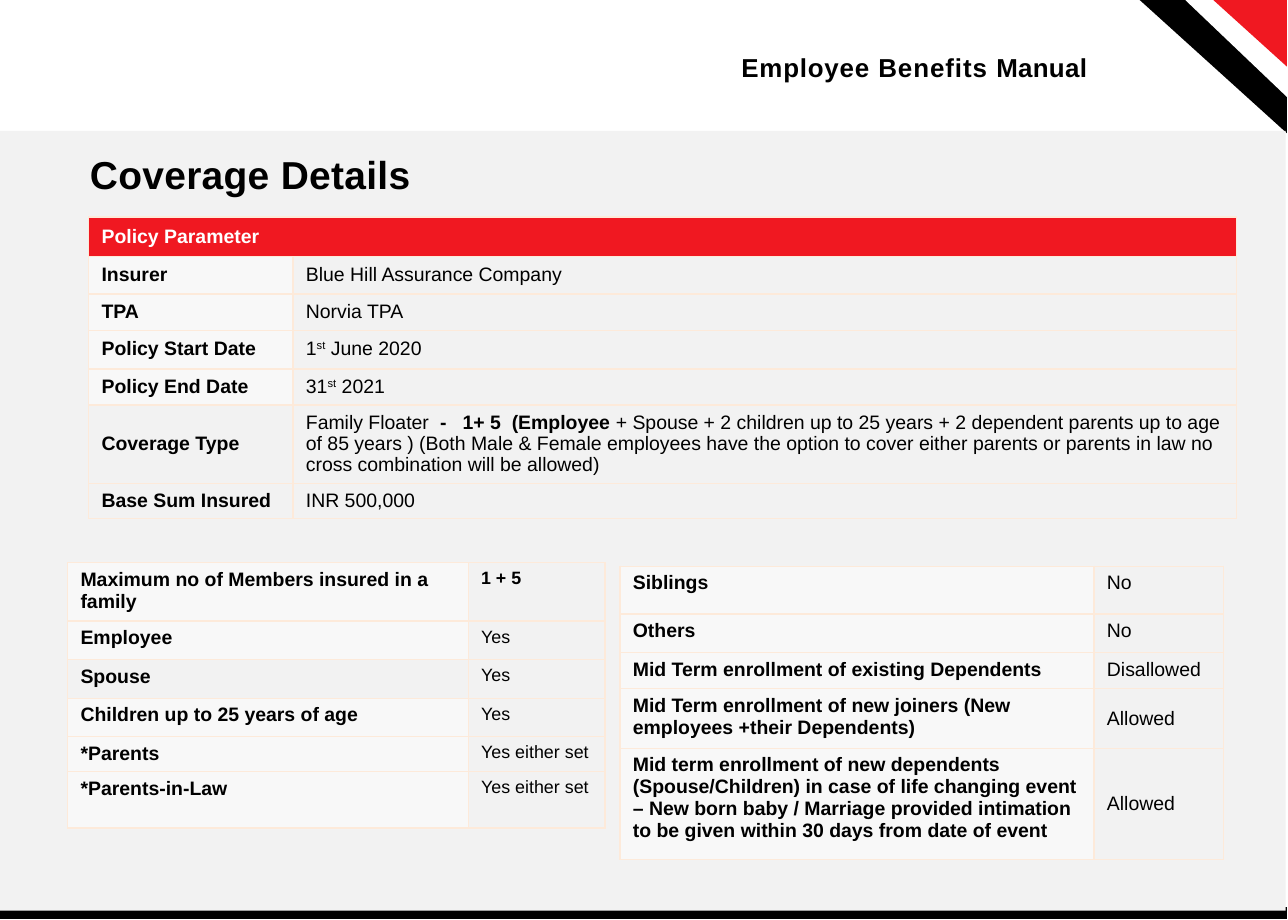
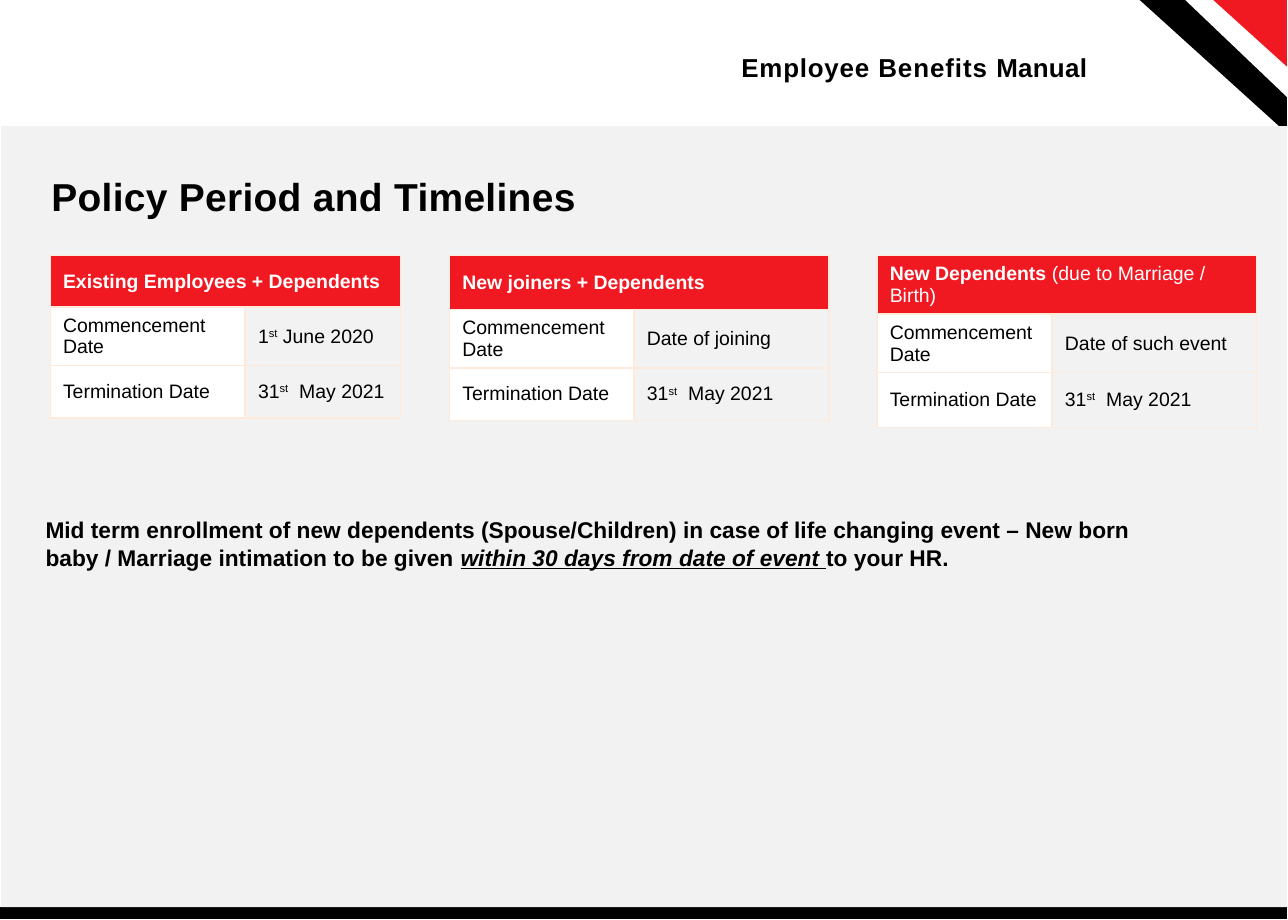
from pptx import Presentation
from pptx.dml.color import RGBColor
from pptx.enum.shapes import MSO_SHAPE
from pptx.enum.text import MSO_ANCHOR
from pptx.oxml.ns import qn
from pptx.util import Pt
from lxml.etree import SubElement

PX = 9144  # 100 px to the inch
RECTANGLE = MSO_SHAPE.RECTANGLE
TOP, MIDDLE = MSO_ANCHOR.TOP, MSO_ANCHOR.MIDDLE

BLACK = RGBColor(0x00, 0x00, 0x00)
WHITE = RGBColor(0xFF, 0xFF, 0xFF)
RED = RGBColor(0xF0, 0x18, 0x21)
GREY = RGBColor(0xF2, 0xF2, 0xF2)
BORDER = "FDEADA"

BODY = {"name": "Arial", "size": Pt(12), "bold": False, "color": BLACK}
BOLD = BODY | {"bold": True}
SMALL = BODY | {"size": Pt(11)}
TABLE_HEADER = BOLD | {"color": WHITE}
DECK_NAME = BOLD | {"size": Pt(16)}
TITLE = BOLD | {"size": Pt(24), "spc": "20"}
NOTE = BOLD | {"size": Pt(14)}
SUPERSCRIPT = {"baseline": "30000"}

CORNER_BANDS = [
    (BLACK, [(1077, 0), (976, 0), (1102, 114), (1102, 24)]),
    (WHITE, [(1102, 0), (1015, 0), (1102, 83)]),
    (RED, [(1102, 0), (1039, 0), (1102, 57)]),
]
DECK_NAME_RUNS = [("Employee ", {"spc": "50"}), ("Benefits ", {"spc": "60"}),
                  ("Manual", {"spc": "20"})]


def write_runs(para, runs, base):
    """Write a string, or (text, format changes) pairs, over a base format."""
    if isinstance(runs, str):
        runs = [(runs, {})]
    for text, changes in runs:
        span = para.add_run()
        span.text = text
        for key, value in (base | changes).items():
            if key == "color":
                span.font.color.rgb = value
            elif key in ("spc", "baseline"):
                span._r.get_or_add_rPr().set(key, value)
            else:
                setattr(span.font, key, value)


def paint(shape, color):
    shape.fill.solid()
    shape.fill.fore_color.rgb = color
    shape.line.fill.background()
    shape.shadow.inherit = False


def_policy = {
    "at": (76, 186), "columns": (175, 808), "heights": (34, 32, 31, 33, 31, 49, 30),
    "header": "Policy Parameter", "label": BOLD, "value": BODY,
    "anchor": MIDDLE, "opacity": "50000", "spacing": 0.95,
    "plain_labels": ("Coverage Type", "Base Sum Insured"),
    "rows": [
        ("Insurer", "Blue Hill Assurance Company"),
        ("TPA", "Norvia TPA"),
        ("Policy Start Date", [("1", {}), ("st", SUPERSCRIPT), (" June 2020", {})]),
        ("Policy End Date", [("31", {}), ("st", SUPERSCRIPT), (" 2021", {})]),
        ("Coverage Type", [
            ("Family Floater  ", {}),
            ("-   1+ 5  (Employee", {"bold": True}),
            (" + Spouse + 2 children up to 25 years + 2 dependent parents up to age "
             "of 85 years ) (Both Male & Female employees have the option to cover "
             "either parents or parents in law no cross combination will be allowed)", {}),
        ]),
        ("Base Sum Insured", "INR 500,000"),
    ],
}
members = {
    "at": (58, 482), "columns": (343, 117), "heights": (33, 33, 33, 33, 27, 48),
    "label": BOLD, "value": SMALL, "anchor": TOP, "opacity": "50000",
    "plain_labels": ("Spouse",),
    "rows": [
        ("Maximum no of Members insured in a family", [("1 + 5", {"bold": True})]),
        ("Employee", "Yes"),
        ("Spouse", "Yes"),
        ("Children up to 25 years of age", "Yes"),
        ("*Parents", "Yes either set"),
        ("*Parents-in-Law", "Yes either set"),
    ],
}
enrollment = {
    "at": (531, 485), "columns": (406, 111), "heights": (41, 33, 31, 51, 95),
    "label": BOLD, "value": BODY, "anchor": TOP, "opacity": "50000",
    "rows": [
        ("Siblings", "No"),
        ("Others", "No"),
        ("Mid Term enrollment of existing Dependents", "Disallowed"),
        ("Mid Term enrollment of new joiners (New employees +their Dependents)", "Allowed"),
        ("Mid term enrollment of new dependents (Spouse/Children) in case of life "
         "changing event – New born baby / Marriage provided intimation to be given "
         "within 30 days from date of event", "Allowed"),
    ],
}

# Three timeline tables differ only in place, header and start date
TERMINATION = [("31", {}), ("st", SUPERSCRIPT), ("  May 2021", {})]
timelines = [
    {"at": (left, 219), "columns": columns, "heights": heights, "header": header,
     "label": BODY, "value": BODY, "anchor": MIDDLE,
     "rows": [("Commencement Date", start), ("Termination Date", TERMINATION)]}
    for left, columns, heights, header, start in [
        (43, (167, 133), (44, 45, 45), "Existing Employees + Dependents",
         [("1", {}), ("st", SUPERSCRIPT), (" June 2020", {})]),
        (385, (158, 167), (46, 45, 45), "New joiners + Dependents", "Date of joining"),
        (751, (150, 175), (47, 47, 47),
         [("New Dependents ", {}), ("(due to Marriage / Birth)", {"bold": False})],
         "Date of such event"),
    ]
]
note_runs = [
    ("Mid term enrollment of new dependents (Spouse/Children) in case of life changing "
     "event – New born baby / Marriage intimation to be given ", {}),
    ("within 30 days from date of event ", {"italic": True, "underline": True}),
    ("to your HR.", {}),
]

pages = [
    {"panel": (0, 112, 1101, 668), "tables": [def_policy, members, enrollment],
     "texts": [((77, 129, 982, 42), "Coverage Details", TITLE)]},
    {"panel": (1, 108, 1101, 669), "tables": timelines,
     "texts": [((44, 148, 982, 42), "Policy Period and Timelines", TITLE),
               ((39, 442, 977, 75), note_runs, NOTE)]},
]

deck = Presentation()
deck.slide_width, deck.slide_height = 1103 * PX, 788 * PX

for page in pages:
    slide = deck.slides.add_slide(deck.slide_layouts[6])

    footer = slide.shapes.add_shape(RECTANGLE, 0, 777 * PX, 1102 * PX, 10 * PX)
    paint(footer, BLACK)
    for color, points in CORNER_BANDS:
        builder = slide.shapes.build_freeform(*points[0], scale=PX)
        builder.add_line_segments(points[1:], close=True)
        paint(builder.convert_to_shape(), color)
    panel = slide.shapes.add_shape(RECTANGLE, *(n * PX for n in page["panel"]))
    paint(panel, GREY)

    deck_name = ((635, 44, 404, 28), DECK_NAME_RUNS, DECK_NAME)
    for place, runs, base in [deck_name, *page["texts"]]:
        box = slide.shapes.add_textbox(*(n * PX for n in place))
        frame = box.text_frame
        frame.word_wrap = True
        for side in ("left", "top", "right", "bottom"):
            setattr(frame, f"margin_{side}", 0)
        write_runs(frame.paragraphs[0], runs, base)

    for content in page["tables"]:
        columns, heights = content["columns"], content["heights"]
        left, top = content["at"]
        table = slide.shapes.add_table(
            len(heights), len(columns), left * PX, top * PX,
            sum(columns) * PX, sum(heights) * PX).table
        table.first_row = table.horz_banding = False
        for column, width in zip(table.columns, columns):
            column.width = width * PX
        for row, height in zip(table.rows, heights):
            row.height = height * PX

        rows = list(content["rows"])
        has_header = "header" in content
        if has_header:
            rows.insert(0, (content["header"], ""))
            table.cell(0, 0).merge(table.cell(0, 1))

        for row_index, row in enumerate(rows):
            for column_index, runs in enumerate(row):
                cell = table.cell(row_index, column_index)
                cell.margin_left = cell.margin_right = 11 * PX
                cell.margin_top = cell.margin_bottom = 5 * PX
                cell.vertical_anchor = MIDDLE if runs == "Allowed" else content["anchor"]
                properties = cell._tc.get_or_add_tcPr()
                for edge in ("a:lnL", "a:lnR", "a:lnT", "a:lnB"):
                    line = SubElement(properties, qn(edge), w=str(Pt(1)))
                    fill = SubElement(line, qn("a:solidFill"))
                    SubElement(fill, qn("a:srgbClr"), val=BORDER)

                is_header = has_header and row_index == 0
                is_label = column_index == 0
                if is_header:
                    cell.fill.solid()
                    cell.fill.fore_color.rgb = RED
                    base = TABLE_HEADER
                elif is_label and runs not in content.get("plain_labels", ()):
                    cell.fill.solid()
                    cell.fill.fore_color.rgb = WHITE
                    if "opacity" in content:
                        white = properties.find(qn("a:solidFill")).find(qn("a:srgbClr"))
                        SubElement(white, qn("a:alpha"), val=content["opacity"])
                    base = content["label"]
                else:
                    cell.fill.background()
                    base = content["label" if is_label else "value"]

                if runs:
                    para = cell.text_frame.paragraphs[0]
                    para.line_spacing = content.get("spacing", 1.0)
                    write_runs(para, runs, base)

deck.save("out.pptx")
